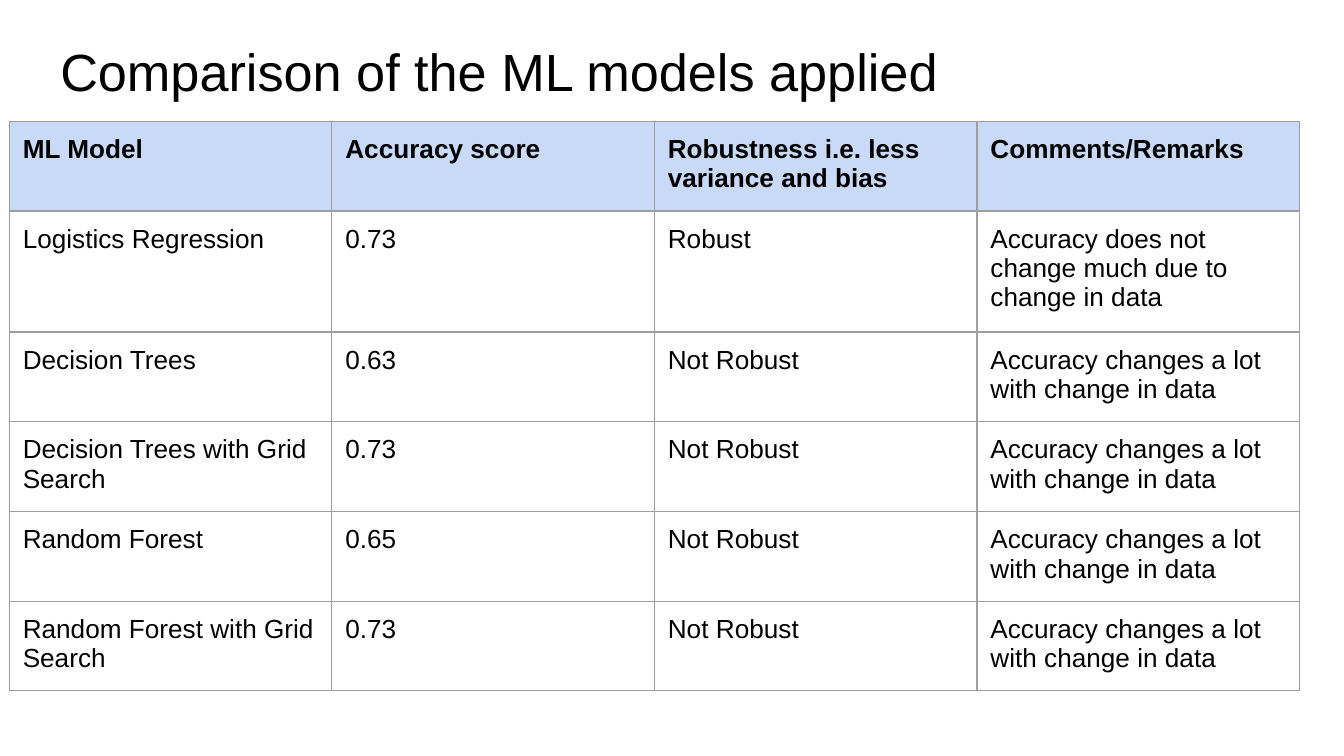
from lxml import etree
from pptx import Presentation
from pptx.dml.color import RGBColor
from pptx.enum.text import MSO_ANCHOR
from pptx.oxml.ns import qn
from pptx.util import Pt

TOP = MSO_ANCHOR.TOP
INSET = Pt(7.2)
MARGINS = {"margin_left": INSET, "margin_right": INSET,
           "margin_top": INSET, "margin_bottom": INSET}
COLUMN_WIDTH, ROW_HEIGHT = 172.8, 30.2

ROWS = [
    ("ML Model", "Accuracy score", "Robustness i.e. less variance and bias",
     "Comments/Remarks"),
    ("Logistics Regression", "0.73", "Robust",
     "Accuracy does not change much due to change in data"),
]
UNSTABLE_MODELS = [
    ("Decision Trees", "0.63"),
    ("Decision Trees with Grid Search", "0.73"),
    ("Random Forest", "0.65"),
    ("Random Forest with Grid Search", "0.73"),
]
for model, score in UNSTABLE_MODELS:
    ROWS.append((model, score, "Not Robust",
                 "Accuracy changes a lot with change in data"))


def color(hex_string):
    return RGBColor.from_string(hex_string)


def write_text(frame, text, size, bold=False):
    paragraph = frame.paragraphs[0]
    run = paragraph.add_run()
    run.text = text
    font_format = {"name": "Arial", "size": Pt(size), "bold": bold}
    for name, value in font_format.items():
        setattr(run.font, name, value)
    run.font.color.rgb = color("000000")


presentation = Presentation()
presentation.slide_width = Pt(720)
presentation.slide_height = Pt(405)
slide = presentation.slides.add_slide(presentation.slide_layouts[6])

# Title
title = slide.shapes.add_textbox(Pt(25.2), Pt(10.8), Pt(671), Pt(74.2))
title_format = {**MARGINS, "margin_top": Pt(10.4), "word_wrap": True,
                "vertical_anchor": TOP}
for name, value in title_format.items():
    setattr(title.text_frame, name, value)
write_text(title.text_frame, "Comparison of the ML models applied", 28)

# Model comparison table
column_count = len(ROWS[0])
table = slide.shapes.add_table(
    len(ROWS), column_count, Pt(5), Pt(65),
    Pt(COLUMN_WIDTH * column_count), Pt(ROW_HEIGHT * len(ROWS))).table
for column in table.columns:
    column.width = Pt(COLUMN_WIDTH)
for row in table.rows:
    row.height = Pt(ROW_HEIGHT)
table.horz_banding = False

for row_index, texts in enumerate(ROWS):
    is_header = row_index == 0
    for column_index, text in enumerate(texts):
        cell = table.cell(row_index, column_index)
        for name, value in {**MARGINS, "vertical_anchor": TOP}.items():
            setattr(cell, name, value)
        write_text(cell.text_frame, text, 14, is_header)

        # Borders come before the fill in the cell properties
        properties = cell._tc.get_or_add_tcPr()
        for side in ("a:lnL", "a:lnR", "a:lnT", "a:lnB"):
            border = etree.SubElement(properties, qn(side), w=str(Pt(0.75)))
            border_fill = etree.SubElement(border, qn("a:solidFill"))
            etree.SubElement(border_fill, qn("a:srgbClr"), val="9E9E9E")
        if is_header:
            cell.fill.solid()
            cell.fill.fore_color.rgb = color("C9DAF8")
        else:
            cell.fill.background()

presentation.save("out.pptx")
